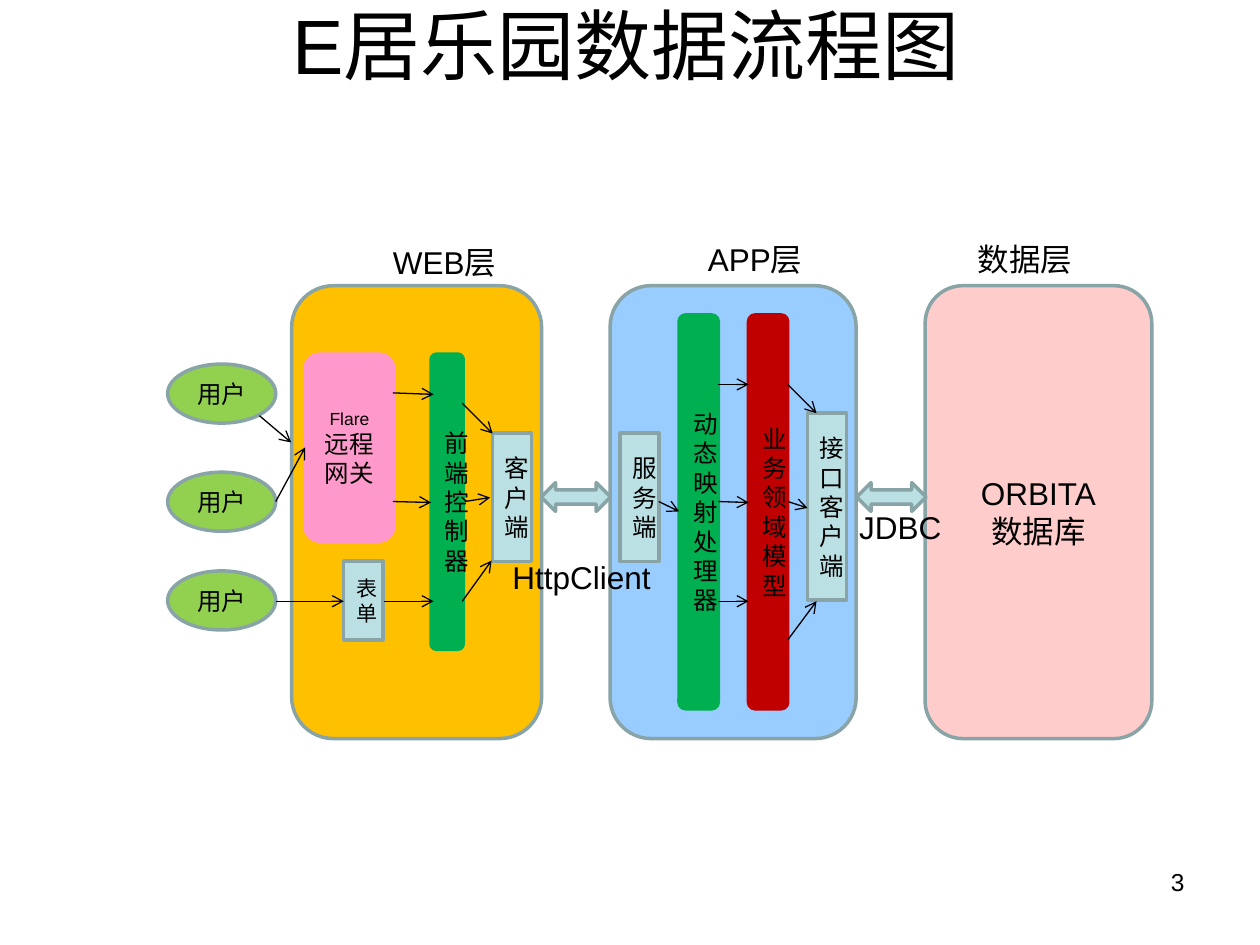
from pptx import Presentation
from pptx.dml.color import RGBColor
from pptx.enum.shapes import MSO_CONNECTOR, MSO_SHAPE
from pptx.enum.text import MSO_ANCHOR, PP_ALIGN
from pptx.oxml.ns import qn
from pptx.util import Cm, Pt
from lxml import etree

LEFT, CENTER, RIGHT = PP_ALIGN.LEFT, PP_ALIGN.CENTER, PP_ALIGN.RIGHT
TOP, MIDDLE = MSO_ANCHOR.TOP, MSO_ANCHOR.MIDDLE
RECT, ROUNDED = MSO_SHAPE.RECTANGLE, MSO_SHAPE.ROUNDED_RECTANGLE
OVAL, DOUBLE_ARROW = MSO_SHAPE.OVAL, MSO_SHAPE.LEFT_RIGHT_ARROW
STRAIGHT = MSO_CONNECTOR.STRAIGHT

COLORS = {
    "text": "000000", "border": "89A4A7", "box": "BBE0E3", "user": "92D050",
    "web": "FFC000", "app": "99CCFF", "data": "FFCCCC",
    "green": "00B050", "red": "C00000", "pink": "FF99CC",
}

deck = Presentation()
deck.slide_width, deck.slide_height = Cm(25.4), Cm(19.05)
page = deck.slides.add_slide(deck.slide_layouts[6])


def write(shape, lines, align, anchor, wrap=True):
    """Fill a shape with (text, size) paragraphs."""
    frame = shape.text_frame
    frame.word_wrap = wrap
    frame.vertical_anchor = anchor
    for index, (text, size) in enumerate(lines):
        para = frame.paragraphs[0] if index == 0 else frame.add_paragraph()
        para.text = text
        para.alignment = align
        para.font.name = "Arial"
        para.font.size = Pt(size)
        para.font.color.rgb = RGBColor.from_string(COLORS["text"])


def add_block(kind, left, top, width, height, fill, line="border", lines=(), align=CENTER):
    shape = page.shapes.add_shape(kind, Cm(left), Cm(top), Cm(width), Cm(height))
    shape.shadow.inherit = False
    shape.fill.solid()
    shape.fill.fore_color.rgb = RGBColor.from_string(COLORS[fill])
    shape.line.color.rgb = RGBColor.from_string(COLORS[line])
    shape.line.width = Pt(2)
    write(shape, lines, align, MIDDLE)


# Tier panels
for left, width, fill, lines in [
    (5.88, 5.04, "web", []),
    (12.3, 4.96, "app", []),
    (18.65, 4.57, "data", [("ORBITA", 18), ("数据库", 18)]),
]:
    add_block(ROUNDED, left, 5.76, width, 9.13, fill, lines=lines)

# Users
for top in (7.34, 9.52, 11.51):
    add_block(OVAL, 3.38, top, 2.18, 1.19, "user", lines=[("用户", 14)])

# Rounded components inside the tiers
for left, top, width, height, fill, lines, align in [
    (8.69, 7.14, 0.65, 5.95, "green", [("前端控制器", 14)], LEFT),
    (6.15, 7.14, 1.79, 3.77, "pink", [("Flare", 10), ("远程网关", 14)], CENTER),
    (15.09, 6.35, 0.79, 7.94, "red", [("业务领域模型", 14)], CENTER),
    (13.69, 6.35, 0.79, 7.94, "green", [("动态映射处理器", 14)], CENTER),
]:
    add_block(ROUNDED, left, top, width, height, fill, fill, lines, align)

# Narrow endpoint boxes
for left, top, height, text, size in [
    (6.93, 11.31, 1.59, "表单", 12),
    (9.93, 8.73, 2.59, "客户端", 14),
    (12.5, 8.73, 2.59, "服务端", 14),
    (16.28, 8.33, 3.77, "接口客户端", 14),
]:
    add_block(RECT, left, top, 0.79, height, "box", lines=[(text, size)])

# Links between tiers
for left in (10.91, 17.27):
    add_block(DOUBLE_ARROW, left, 9.73, 1.4, 0.58, "box")

# Data flow arrows: start x, start y, end x, end y
for x1, y1, x2, y2 in [
    # users to the web tier
    (5.23, 8.38, 5.87, 8.92),
    (5.56, 10.11, 6.15, 9.02),
    (5.56, 12.12, 6.93, 12.12),
    # gateway and form to the front controller
    (7.92, 7.92, 8.74, 7.95),
    (7.92, 10.11, 8.69, 10.13),
    (7.75, 12.12, 8.74, 12.12),
    # front controller to the client
    (9.32, 8.13, 9.93, 8.74),
    (9.37, 10.11, 9.88, 10.03),
    (9.32, 12.12, 9.91, 11.3),
    # server to the mapping processor
    (13.28, 10.11, 13.69, 10.31),
    # mapping processor to the domain model
    (14.48, 7.75, 15.09, 7.75),
    (14.48, 10.11, 15.09, 10.13),
    (14.48, 12.12, 15.09, 12.12),
    # domain model to the interface client
    (15.88, 7.75, 16.46, 8.33),
    (15.88, 10.11, 16.28, 10.24),
    (15.88, 12.9, 16.46, 12.12),
]:
    arrow = page.shapes.add_connector(STRAIGHT, Cm(x1), Cm(y1), Cm(x2), Cm(y2))
    arrow.line.color.rgb = RGBColor.from_string(COLORS["text"])
    arrow.line.width = Pt(0.75)
    etree.SubElement(arrow.line._get_or_add_ln(), qn("a:tailEnd"), type="arrow")
    etree.SubElement(arrow._element.spPr, qn("a:effectLst"))

# Title, tier names, protocol labels and page number
for left, top, width, height, text, size, align, anchor, wrap in [
    (1.19, 0, 22.86, 1.78, "E居乐园数据流程图", 44, CENTER, MIDDLE, True),
    (7.67, 4.78, 2.74, 1.02, "WEB层", 18, LEFT, TOP, False),
    (14.02, 4.72, 2.57, 1.02, "APP层", 18, LEFT, TOP, False),
    (19.46, 4.72, 2.41, 1.02, "数据层", 18, LEFT, TOP, False),
    (10.08, 11.13, 3.3, 1.02, "HttpClient", 18, LEFT, TOP, False),
    (17.07, 10.11, 2.16, 1.02, "JDBC", 18, LEFT, TOP, False),
    (18.21, 17.35, 5.92, 1.32, "3", 14, RIGHT, TOP, True),
]:
    box = page.shapes.add_textbox(Cm(left), Cm(top), Cm(width), Cm(height))
    write(box, [(text, size)], align, anchor, wrap)

deck.save("out.pptx")
